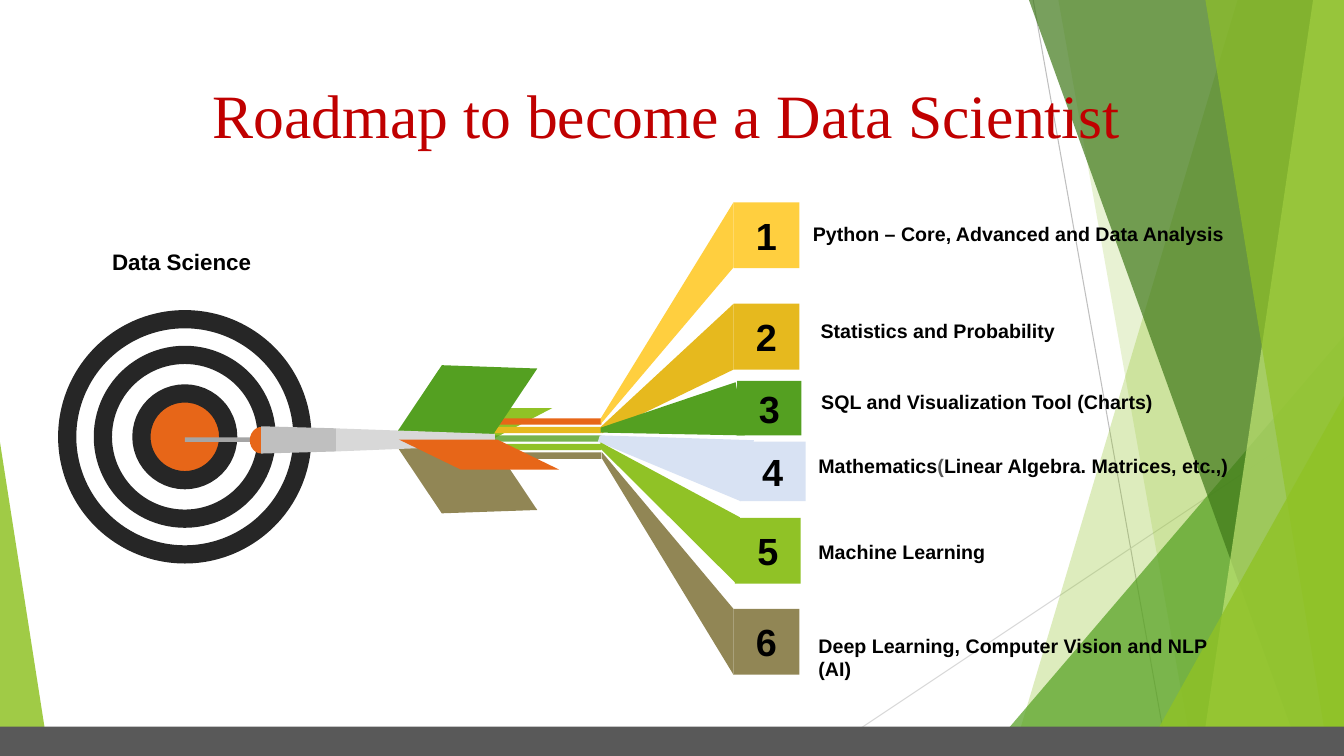
from dataclasses import dataclass

from lxml import etree
from pptx import Presentation
from pptx.dml.color import RGBColor
from pptx.enum.shapes import MSO_CONNECTOR, MSO_SHAPE
from pptx.enum.text import MSO_ANCHOR, PP_ALIGN
from pptx.oxml.ns import qn
from pptx.util import Pt

RECTANGLE, ELLIPSE = MSO_SHAPE.RECTANGLE, MSO_SHAPE.OVAL
TRIANGLE, CHORD = MSO_SHAPE.ISOSCELES_TRIANGLE, MSO_SHAPE.CHORD
PARALLELOGRAM = MSO_SHAPE.PARALLELOGRAM
STRAIGHT = MSO_CONNECTOR.STRAIGHT
MIDDLE, CENTER, LEFT = MSO_ANCHOR.MIDDLE, PP_ALIGN.CENTER, PP_ALIGN.LEFT

WIDTH, HEIGHT = 960, 540


@dataclass(frozen=True)
class Theme:
    title_font: str = "Times New Roman"
    text_font: str = "Arial"
    title_size: float = 44
    number_size: float = 27
    heading_size: float = 16
    label_size: float = 14
    red: str = "C00000"
    black: str = "000000"
    white: str = "FFFFFF"
    ring: str = "262626"
    slate: str = "595959"
    gray: str = "A5A5A5"
    barrel: str = "BFBFBF"
    shaft: str = "D8D8D8"
    faint: str = "D9D9D9"
    lime: str = "90C226"
    pale_lime: str = "C0E474"
    green: str = "54A021"
    dark_green: str = "3F7819"
    orange: str = "E76618"
    gold: str = "E6B91E"
    yellow: str = "FFCF3F"
    olive: str = "918655"
    blue: str = "D8E2F3"


class RoadmapPage:
    """Draws styled elements on one slide; lengths are in points."""

    def __init__(self, page, theme):
        self.page, self.theme = page, theme

    def paint(self, shape, color, opacity=100):
        shape.shadow.inherit = False
        shape.fill.solid()
        shape.fill.fore_color.rgb = RGBColor.from_string(color)
        shape.line.fill.background()
        if opacity < 100:
            fill_color = shape._element.spPr.find(qn("a:solidFill"))[0]
            etree.SubElement(fill_color, qn("a:alpha")).set("val", str(opacity * 1000))
        return shape

    def shape(self, kind, box, color, opacity=100, adjust=(), rotation=0, flip=False):
        shape = self.page.shapes.add_shape(kind, *map(Pt, box))
        for index, value in enumerate(adjust):
            shape.adjustments[index] = value
        shape.rotation = rotation
        if flip:
            shape._element.spPr.find(qn("a:xfrm")).set("flipH", "1")
        return self.paint(shape, color, opacity)

    def polygon(self, points, color, opacity=100):
        corners = [(Pt(x), Pt(y)) for x, y in points]
        outline = self.page.shapes.build_freeform(*corners[0])
        outline.add_line_segments(corners[1:], close=True)
        return self.paint(outline.convert_to_shape(), color, opacity)

    def line(self, start, end, color):
        line = self.page.shapes.add_connector(STRAIGHT, *map(Pt, start + end))
        line.line.color.rgb = RGBColor.from_string(color)
        line.line.width = Pt(0.75)
        etree.SubElement(line._element.spPr, qn("a:effectLst"))

    def ring(self, center, diameter, color):
        x, y = (value - diameter / 2 for value in center)
        disc = self.shape(ELLIPSE, (x, y, diameter, diameter), color)
        disc.line.color.rgb = RGBColor.from_string(self.theme.ring)
        disc.line.width = Pt(13)

    def style(self, span, size, color, font, bold):
        span.font.name, span.font.size, span.font.bold = font, Pt(size), bold
        span.font.color.rgb = RGBColor.from_string(color)

    def title(self, text, box):
        title = self.page.shapes.title
        title.left, title.top, title.width, title.height = map(Pt, box)
        frame = title.text_frame
        frame.text, frame.vertical_anchor, frame.word_wrap = text, MIDDLE, True
        para = frame.paragraphs[0]
        para.alignment, para.line_spacing = CENTER, 0.9
        self.style(para.runs[0], self.theme.title_size, self.theme.red,
                   self.theme.title_font, False)
        self.page.shapes._spTree.append(title._element)  # in front of the backdrop

    def label(self, spans, box, size):
        frame = self.page.shapes.add_textbox(*map(Pt, box)).text_frame
        frame.word_wrap = True
        para = frame.paragraphs[0]
        para.alignment = LEFT
        for text, color in spans:
            span = para.add_run()
            span.text = text
            self.style(span, size, color, self.theme.text_font, True)

    def number(self, text, box, color):
        frame = self.shape(RECTANGLE, box, color).text_frame
        frame.text, frame.vertical_anchor = text, MIDDLE
        para = frame.paragraphs[0]
        para.alignment = CENTER
        self.style(para.runs[0], self.theme.number_size, self.theme.black,
                   self.theme.text_font, True)


def draw_backdrop(page, theme):
    page.line((738, 0), (834, HEIGHT), theme.barrel)
    page.line((WIDTH, 290), (585, HEIGHT), theme.faint)

    def band(top, bottom, color, opacity):
        page.polygon([(top, 0), (WIDTH, 0), (WIDTH, HEIGHT), (bottom, HEIGHT)],
                     color, opacity)

    def corner(left, top, width, apex, color, opacity):
        page.shape(TRIANGLE, (left, top, width, HEIGHT - top), color, opacity, [apex])

    band(884, 723, theme.lime, 30)
    band(756, 852, theme.lime, 20)
    corner(703.5, 240, 256.5, 1, theme.green, 72)
    band(735, 929.5, theme.dark_green, 70)
    band(938, 858, theme.pale_lime, 70)
    band(861, 949, theme.lime, 65)
    corner(816.5, 283, 143.5, 1, theme.lime, 80)
    corner(0, 316, 35, 0, theme.lime, 85)
    page.shape(RECTANGLE, (0, 519, WIDTH, 21), theme.slate)


def draw_target_and_dart(page, theme):
    for diameter, color in ((168, theme.white), (117, theme.white), (62, theme.orange)):
        page.ring((132, 312), diameter, color)

    # Rear feather and the five tail strips
    page.shape(PARALLELOGRAM, (284.5, 291.5, 110, 21.5), theme.lime, adjust=[1.92])
    strips = ((theme.orange, 100), (theme.gold, 100), (theme.green, 80),
              (theme.lime, 100), (theme.olive, 100))
    for index, (color, opacity) in enumerate(strips):
        page.shape(RECTANGLE, (353.5, 298.8 + 6.1 * index, 76, 4.5), color, opacity)

    # Needle, feathers, shaft and barrel
    page.shape(RECTANGLE, (132, 312.5, 57.5, 3.2), theme.gray)
    page.shape(PARALLELOGRAM, (285, 318, 98, 48), theme.olive,
               adjust=[0.62], rotation=-2, flip=True)
    page.shape(PARALLELOGRAM, (285, 261.5, 98, 48), theme.green,
               adjust=[0.62], rotation=2)
    page.polygon([(240, 306), (353.5, 310), (353.5, 318), (240, 322.5)], theme.shaft)
    page.shape(CHORD, (178.5, 305, 16.5, 19), theme.orange, adjust=[53.91, 162])
    page.polygon([(186.5, 304.5), (240, 306), (240, 322.5), (186.5, 324)], theme.barrel)
    page.shape(PARALLELOGRAM, (285, 314, 114.5, 21.5), theme.orange,
               adjust=[2.06], flip=True)


def draw_steps(page, theme):
    # Each step: label spans, label corner, number box, beam outline, colour
    black = theme.black
    steps = (
        ([("Python – Core, Advanced and Data Analysis", black)], (573.5, 155),
         (524, 144.5, 47, 47),
         [(429, 299), (524, 144.5), (524, 191), (429, 303)], theme.yellow),
        ([("Statistics and Probability", black)], (579, 224.5),
         (524, 217, 47, 47),
         [(429, 305), (524, 217), (524, 264), (430, 309.5)], theme.gold),
        ([("SQL and Visualization Tool (Charts)", black)], (579.5, 275),
         (526.5, 272, 46, 39),
         [(429, 305.5), (429, 309), (532, 311), (525.5, 273)], theme.green),
        ([("Mathematics", black), ("(", theme.slate),
          ("Linear Algebra. Matrices, etc.,)", black)], (577.5, 321),
         (528.5, 315.5, 47, 42.5),
         [(428.5, 311), (427, 315.5), (529, 358), (538.5, 314.5)], theme.blue),
        ([("Machine Learning", black)], (577.5, 382),
         (525, 370, 47, 47),
         [(428.5, 320), (525, 416), (528.5, 369.5), (429, 316)], theme.lime),
        ([("Deep Learning, Computer Vision and NLP (AI)", black)], (577.5, 449),
         (524, 435, 47, 47),
         [(430, 327.5), (524, 482), (524, 435), (430, 323)], theme.olive),
    )
    for position, (spans, corner, box, beam, color) in enumerate(steps, start=1):
        page.number(str(position), box, color)
        page.polygon(beam, color)
        page.label(spans, corner + (317, 24.5), theme.label_size)


def main():
    deck = Presentation()
    deck.slide_width, deck.slide_height = Pt(WIDTH), Pt(HEIGHT)
    theme = Theme()
    page = RoadmapPage(deck.slides.add_slide(deck.slide_layouts[5]), theme)

    draw_backdrop(page, theme)
    page.title("Roadmap to become a Data Scientist", (21, 44, 911, 81))
    draw_target_and_dart(page, theme)
    page.label([("Data Science", theme.black)], (73, 173.5, 122, 26.5), theme.heading_size)
    draw_steps(page, theme)
    deck.save("out.pptx")


if __name__ == "__main__":
    main()
